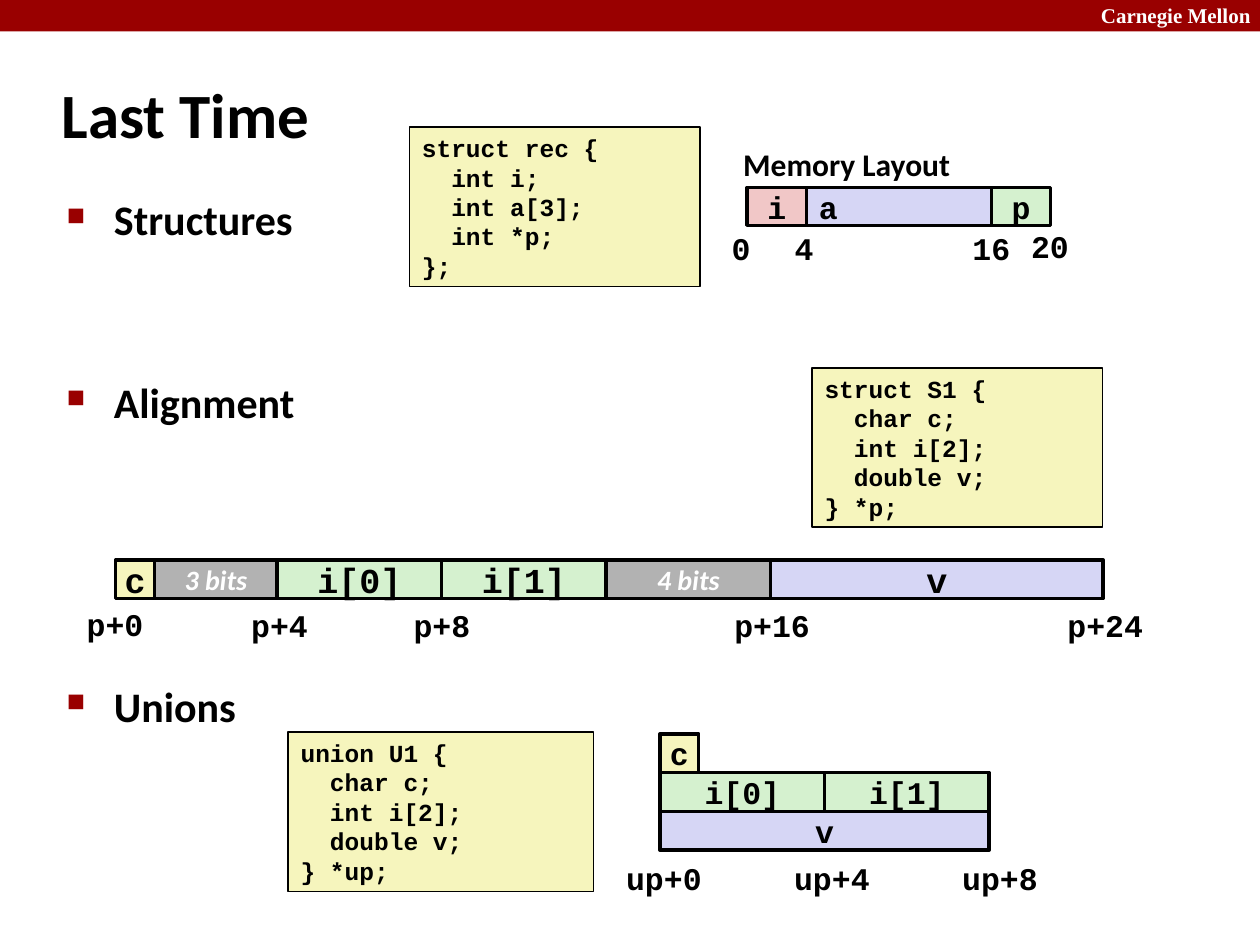
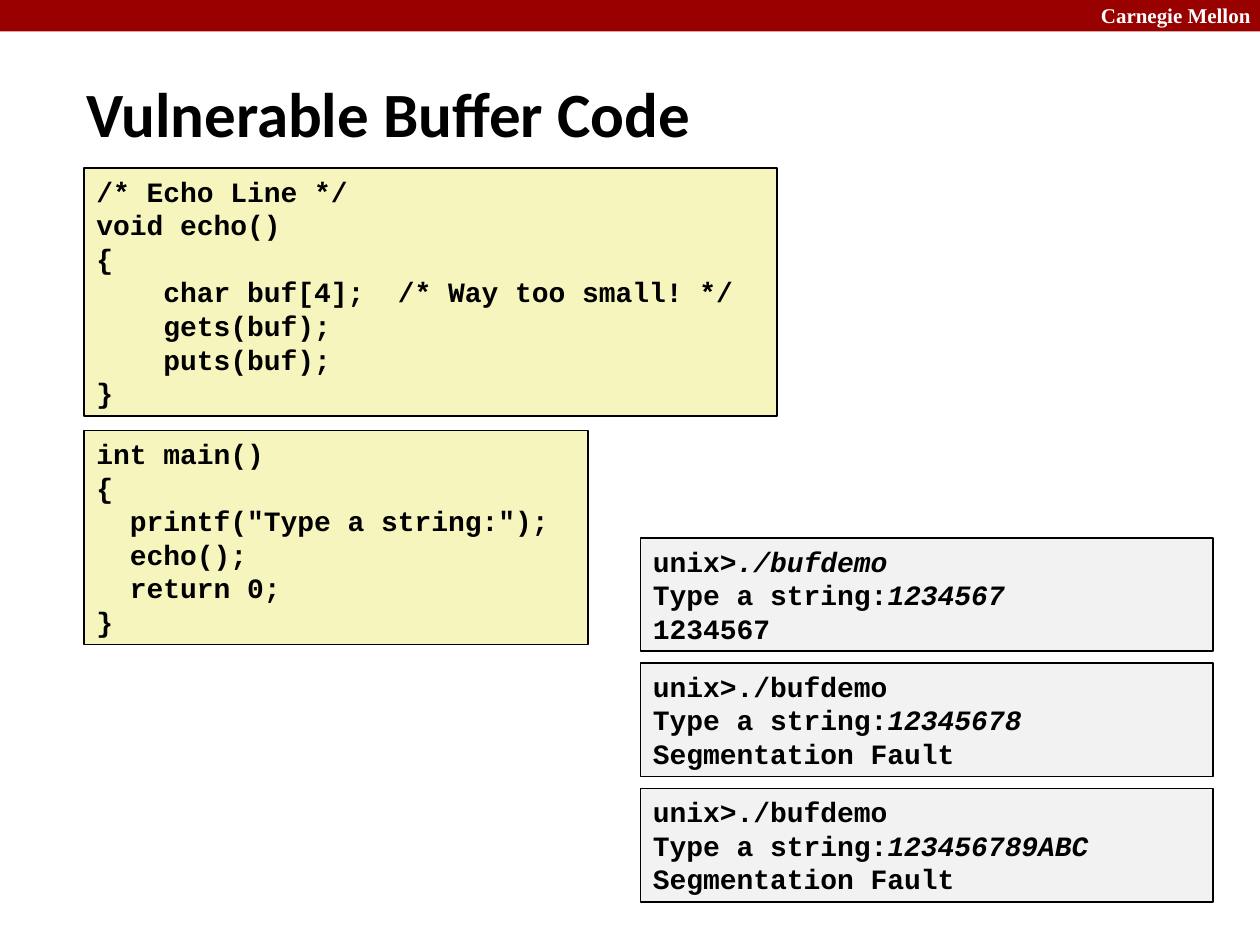
from lxml.etree import SubElement
from pptx import Presentation
from pptx.dml.color import RGBColor
from pptx.enum.shapes import MSO_SHAPE
from pptx.enum.text import MSO_ANCHOR, MSO_AUTO_SIZE, PP_ALIGN
from pptx.oxml.ns import qn
from pptx.util import Pt

# Colours
BLACK = RGBColor(0x00, 0x00, 0x00)
WHITE = RGBColor(0xFF, 0xFF, 0xFF)
RED = RGBColor(0x99, 0x00, 0x00)
YELLOW = RGBColor(0xF6, 0xF5, 0xBD)
PINK = RGBColor(0xF1, 0xC7, 0xC7)
LILAC = RGBColor(0xD6, 0xD6, 0xF5)
GREEN = RGBColor(0xD5, 0xF1, 0xCF)
GREY = RGBColor(0xB2, 0xB2, 0xB2)
PALE = RGBColor(0xF2, 0xF2, 0xF2)

# Text formats
MONO = {"name": "Courier New", "size": Pt(18), "bold": True, "color": BLACK}
HEAD = {"name": "Calibri", "size": Pt(36), "bold": True, "color": BLACK}
TOPIC = HEAD | {"size": Pt(24)}
NOTE = HEAD | {"size": Pt(18)}
GAP = HEAD | {"size": Pt(16), "color": WHITE, "italic": True}
BRAND = {"name": "Times New Roman", "size": Pt(12), "bold": True, "color": WHITE}

LEADING = 1.2
PAD = 7.2


def style(font, look):
    for key, value in look.items():
        if key == "color":
            font.color.rgb = value
        else:
            setattr(font, key, value)


def write(frame, lines, look, align=PP_ALIGN.LEFT, wrap=False, anchor=MSO_ANCHOR.TOP):
    """Write one paragraph a line; the second part of a pair is italic."""
    setup = {"word_wrap": wrap, "auto_size": MSO_AUTO_SIZE.NONE, "vertical_anchor": anchor}
    for key, value in setup.items():
        setattr(frame, key, value)
    for num, line in enumerate(lines):
        para = frame.paragraphs[0] if num == 0 else frame.add_paragraph()
        para.alignment = align
        parts = (line,) if isinstance(line, str) else line
        for pos, part in enumerate(parts):
            run = para.add_run()
            run.text = part
            style(run.font, look | {"italic": True} if pos else look)


def add_rect(slide, x, y, w, h, fill, line=0):
    rect = slide.shapes.add_shape(MSO_SHAPE.RECTANGLE, Pt(x), Pt(y), Pt(w), Pt(h))
    rect.shadow.inherit = False
    rect.fill.solid()
    rect.fill.fore_color.rgb = fill
    if line:
        rect.line.color.rgb = BLACK
        rect.line.width = Pt(line)
    else:
        rect.line.fill.background()
    return rect


def add_text(slide, x, y, w, h, lines, look, **opts):
    box = slide.shapes.add_textbox(Pt(x), Pt(y), Pt(w), Pt(h))
    write(box.text_frame, lines, look, **opts)
    return box


def add_code(slide, x, y, w, lines, size, fill=YELLOW):
    high = len(lines) * size * LEADING + PAD
    rect = add_rect(slide, x, y, w, high, fill, 1)
    write(rect.text_frame, lines, MONO | {"size": Pt(size)}, wrap=True)


def add_cells(slide, x, y, h, cells, look=MONO):
    """Lay out memory cells side by side: text, width, fill."""
    for text, w, fill in cells:
        rect = add_rect(slide, x, y, w, h, fill, 2)
        write(rect.text_frame, [text], GAP if fill == GREY else look,
              align=PP_ALIGN.LEFT if text == "a" else PP_ALIGN.CENTER,
              anchor=MSO_ANCHOR.MIDDLE)
        x += w


def add_marks(slide, y, marks):
    """Centre each address on its x position."""
    for text, mid in marks:
        w = len(text) * 10.8 + 2 * PAD
        add_text(slide, mid - w / 2, y, w, 29, [text], MONO, align=PP_ALIGN.CENTER)


def add_topics(slide, topics):
    box = add_text(slide, 31, 107.3, 622, 392, [text for text, _ in topics],
                   TOPIC, wrap=True)
    for para, (_, space) in zip(box.text_frame.paragraphs, topics):
        if space:
            para.space_before = Pt(space)
        props = para._p.get_or_add_pPr()
        props.set("marL", str(Pt(27)))
        props.set("indent", str(Pt(-27)))
        tint = SubElement(props, qn("a:buClr"))
        SubElement(tint, qn("a:srgbClr"), val=str(RED))
        SubElement(props, qn("a:buSzPct"), val="60000")
        SubElement(props, qn("a:buChar"), char="■")


def add_slide(deck, text, x, y, w, h):
    """Start a slide with the red band and its title."""
    slide = deck.slides.add_slide(deck.slide_layouts[5])
    add_rect(slide, 0, 0, 720, 18, RED)
    add_text(slide, 622, -2, 98, 21.6, ["Carnegie Mellon"], BRAND)
    title = slide.shapes.title
    place = {"left": x, "top": y, "width": w, "height": h}
    for key, value in place.items():
        setattr(title, key, Pt(value))
    write(title.text_frame, [text], HEAD, wrap=True, anchor=MSO_ANCHOR.MIDDLE)
    return slide


def add_recap(deck):
    slide = add_slide(deck, "Last Time", 28, 34.6, 598, 60)
    add_topics(slide, [("Structures", 0), ("Alignment", 75.6), ("Unions", 145)])

    # Structures
    add_code(slide, 234, 72.5, 166,
             ["struct rec {", "  int i;", "  int a[3];", "  int *p;", "};"], 14)
    add_text(slide, 417.6, 79.2, 193, 32.4, ["Memory Layout"], NOTE)
    add_cells(slide, 427, 107.2, 21.6,
              [("i", 33.8, PINK), ("a", 105.8, LILAC), ("p", 33.8, GREEN)])
    add_marks(slide, 127.4, [("0", 423.5), ("4", 459.5), ("16", 566.5)])
    add_marks(slide, 126, [("20", 600)])

    # Alignment
    add_code(slide, 464.1, 210.1, 166,
             ["struct S1 {", "  char c;", "  int i[2];", "  double v;", "} *p;"], 14)
    add_cells(slide, 66, 320, 22, [
        ("c", 22.4, YELLOW), ("3 bits", 70, GREY), ("i[0]", 94, GREEN),
        ("i[1]", 94, GREEN), ("4 bits", 94, GREY), ("v", 190, LILAC),
    ], MONO | {"size": Pt(20)})
    add_marks(slide, 342, [("p+0", 65.7)])
    add_marks(slide, 342.7, [("p+4", 159.7), ("p+8", 252.5),
                             ("p+16", 441.2), ("p+24", 631.6)])

    # Unions
    add_code(slide, 164.7, 418.2, 174.5,
             ["union U1 {", "  char c;", "  int i[2];", "  double v;", "} *up;"], 14)
    layers = [
        [("c", 22, YELLOW)],
        [("i[0]", 94, GREEN), ("i[1]", 94, GREEN)],
        [("v", 188, LILAC)],
    ]
    for num, cells in enumerate(layers):
        add_cells(slide, 377.2, 419.3 + 22.2 * num, 22.2, cells)
    add_marks(slide, 487.4, [(f"up+{4 * num}", 379.4 + 96 * num) for num in range(3)])


def add_demo(deck):
    slide = add_slide(deck, "Vulnerable Buffer Code", 42, 41.8, 505, 45)

    # Program
    add_code(slide, 48, 96, 396, [
        "/* Echo Line */", "void echo()", "{",
        "    char buf[4];  /* Way too small! */",
        "    gets(buf);", "    puts(buf);", "}",
    ], 16)
    add_code(slide, 48, 246, 288, [
        "int main()", "{", '  printf("Type a string:");',
        "  echo();", "  return 0;", "}",
    ], 16)

    # Sample runs
    runs = [
        (("unix>", "./bufdemo"), "1234567", "1234567"),
        ("unix>./bufdemo", "12345678", "Segmentation Fault"),
        ("unix>./bufdemo", "123456789ABC", "Segmentation Fault"),
    ]
    for num, (call, typed, reply) in enumerate(runs):
        add_code(slide, 366, 307.4 + 71.6 * num, 327,
                 [call, ("Type a string:", typed), reply], 16, PALE)


def main():
    deck = Presentation()
    deck.slide_width, deck.slide_height = Pt(720), Pt(540)
    add_recap(deck)
    add_demo(deck)
    deck.save("out.pptx")


if __name__ == "__main__":
    main()
